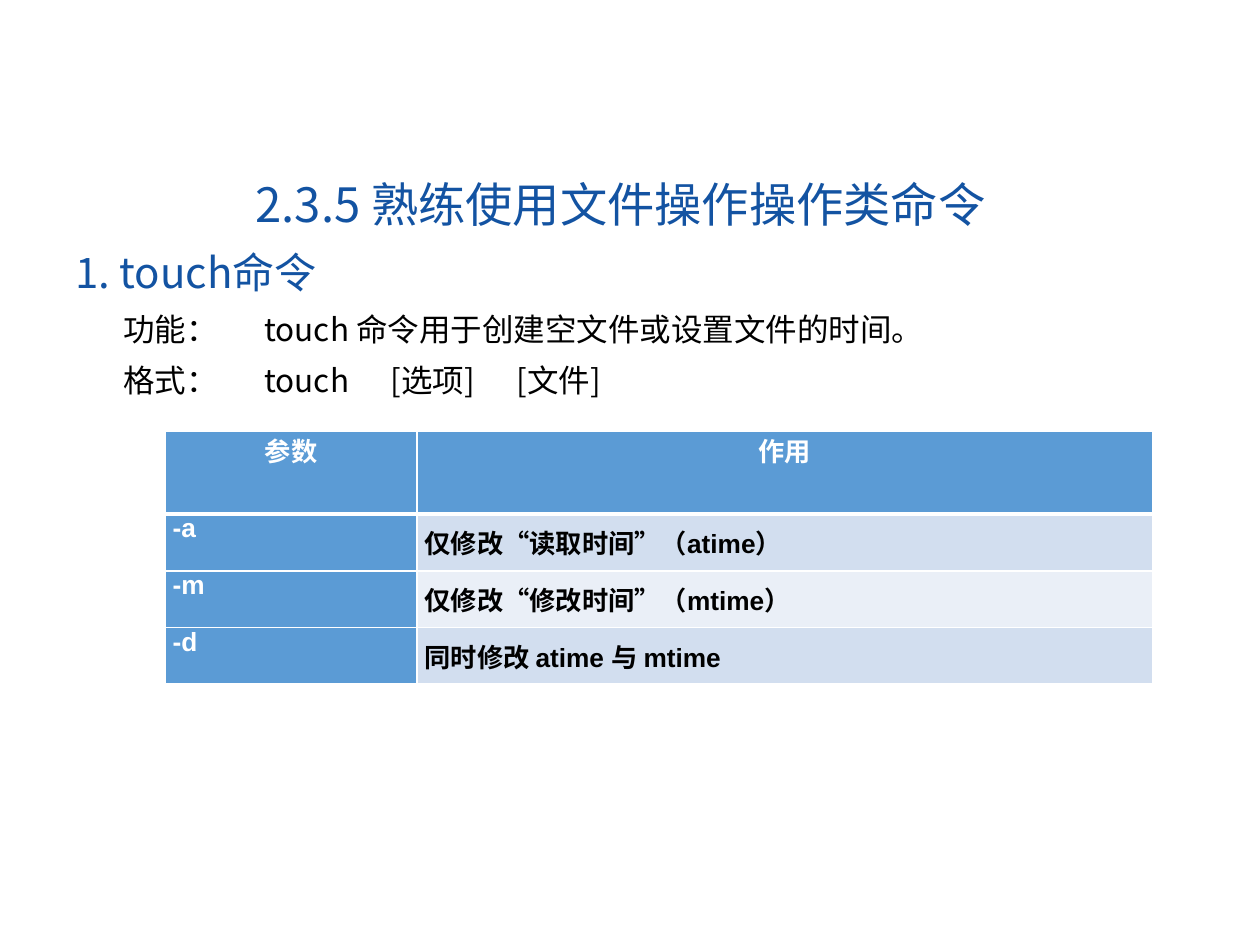
from dataclasses import dataclass

from lxml import etree
from pptx import Presentation
from pptx import util as u
from pptx.dml.color import RGBColor
from pptx.enum import text as t
from pptx.oxml import ns

SANS = "Noto Sans CJK SC"
LATIN = "Arial"
BLUE = RGBColor(0x13, 0x53, 0xA2)
BLACK = RGBColor(0, 0, 0)
WHITE = RGBColor(0xFF, 0xFF, 0xFF)
HEADER = RGBColor(0x5B, 0x9B, 0xD5)
BANDS = (RGBColor(0xD2, 0xDE, 0xEF), RGBColor(0xEA, 0xEF, 0xF7))

COLUMN_WIDTHS = (2, 5.84)
HEADER_HEIGHT = 0.66
ROW_HEIGHT = 0.45
TAB_STOPS = (1.29, 2.08, 3.0)


@dataclass
class Option:
    flag: str
    effect: str


OPTIONS = (
    Option("-a", "仅修改“读取时间”（atime）"),
    Option("-m", "仅修改“修改时间”（mtime）"),
    Option("-d", "同时修改 atime 与 mtime"),
)
DETAILS = (
    "功能：\ttouch 命令用于创建空文件或设置文件的时间。",
    "格式：\ttouch\t[选项]\t[文件]",
)


def write(para, text: str, *, size: float, color: RGBColor, font: str = SANS,
          bold: bool = False, align=None) -> None:
    span = para.add_run()
    span.text = text
    span.font.size = u.Pt(size)
    span.font.name = font
    span.font.bold = bold
    span.font.color.rgb = color
    east_asian = etree.SubElement(span.font._element, ns.qn("a:ea"))
    east_asian.set("typeface", SANS)
    para.alignment = align


def add_box(page, left: float, top: float, width: float, height: float):
    box = page.shapes.add_textbox(
        u.Inches(left), u.Inches(top), u.Inches(width), u.Inches(height))
    box.text_frame.word_wrap = True
    box.text_frame.auto_size = t.MSO_AUTO_SIZE.SHAPE_TO_FIT_TEXT
    return box.text_frame


def indent_first_line(para, indent: float) -> None:
    properties = para._p.get_or_add_pPr()
    properties.set("marL", "0")
    properties.set("indent", str(u.Inches(indent)))
    tabs = etree.SubElement(properties, ns.qn("a:tabLst"))
    for stop in TAB_STOPS:
        etree.SubElement(tabs, ns.qn("a:tab"), pos=str(u.Inches(stop)), algn="l")


def set_borders(cell, bottom: float) -> None:
    properties = cell._tc.get_or_add_tcPr()
    for side, width in (("L", 1), ("R", 1), ("T", 1), ("B", bottom)):
        line = etree.SubElement(properties, ns.qn(f"a:ln{side}"), w=str(u.Pt(width)))
        fill = etree.SubElement(line, ns.qn("a:solidFill"))
        etree.SubElement(fill, ns.qn("a:srgbClr"), val=str(WHITE))


def fill_cell(cell, text: str, *, fill: RGBColor, color: RGBColor = WHITE,
              align=t.PP_ALIGN.LEFT, anchor=t.MSO_ANCHOR.TOP, bottom: float = 1) -> None:
    set_borders(cell, bottom)
    cell.fill.solid()
    cell.fill.fore_color.rgb = fill
    cell.margin_left = cell.margin_right = u.Inches(0.06)
    cell.margin_top = cell.margin_bottom = 0
    cell.vertical_anchor = anchor
    write(cell.text_frame.paragraphs[0], text, size=15, color=color,
          font=LATIN, bold=True, align=align)


def add_option_table(page, left: float, top: float) -> None:
    height = HEADER_HEIGHT + ROW_HEIGHT * len(OPTIONS)
    table = page.shapes.add_table(
        len(OPTIONS) + 1, len(COLUMN_WIDTHS), u.Inches(left), u.Inches(top),
        u.Inches(sum(COLUMN_WIDTHS)), u.Inches(height)).table
    for column, width in zip(table.columns, COLUMN_WIDTHS):
        column.width = u.Inches(width)
    for index, row in enumerate(table.rows):
        row.height = u.Inches(ROW_HEIGHT if index else HEADER_HEIGHT)
    for index, heading in enumerate(("参数", "作用")):
        fill_cell(table.cell(0, index), heading, fill=HEADER,
                  align=t.PP_ALIGN.CENTER, bottom=3)
    for index, option in enumerate(OPTIONS):
        fill_cell(table.cell(index + 1, 0), option.flag, fill=HEADER,
                  align=t.PP_ALIGN.JUSTIFY)
        fill_cell(table.cell(index + 1, 1), option.effect, fill=BANDS[index % 2],
                  color=BLACK, anchor=t.MSO_ANCHOR.MIDDLE)


def main() -> None:
    deck = Presentation()
    deck.slide_width = u.Inches(10)
    deck.slide_height = u.Inches(7.5)
    page = deck.slides.add_slide(deck.slide_layouts[6])

    title = add_box(page, 1.93, 1.34, 7.02, 0.56)
    write(title.paragraphs[0], "2.3.5 熟练使用文件操作操作类命令", size=27, color=BLUE)

    body = add_box(page, 0.5, 1.91, 8.28, 2.51)
    write(body.paragraphs[0], "1. touch命令", size=24, color=BLUE)
    for detail in DETAILS:
        para = body.add_paragraph()
        indent_first_line(para, 0.38)
        para.line_spacing = 1.35
        write(para, detail, size=18, color=BLACK)

    add_option_table(page, 1.31, 3.42)
    deck.save("out.pptx")


if __name__ == "__main__":
    main()
